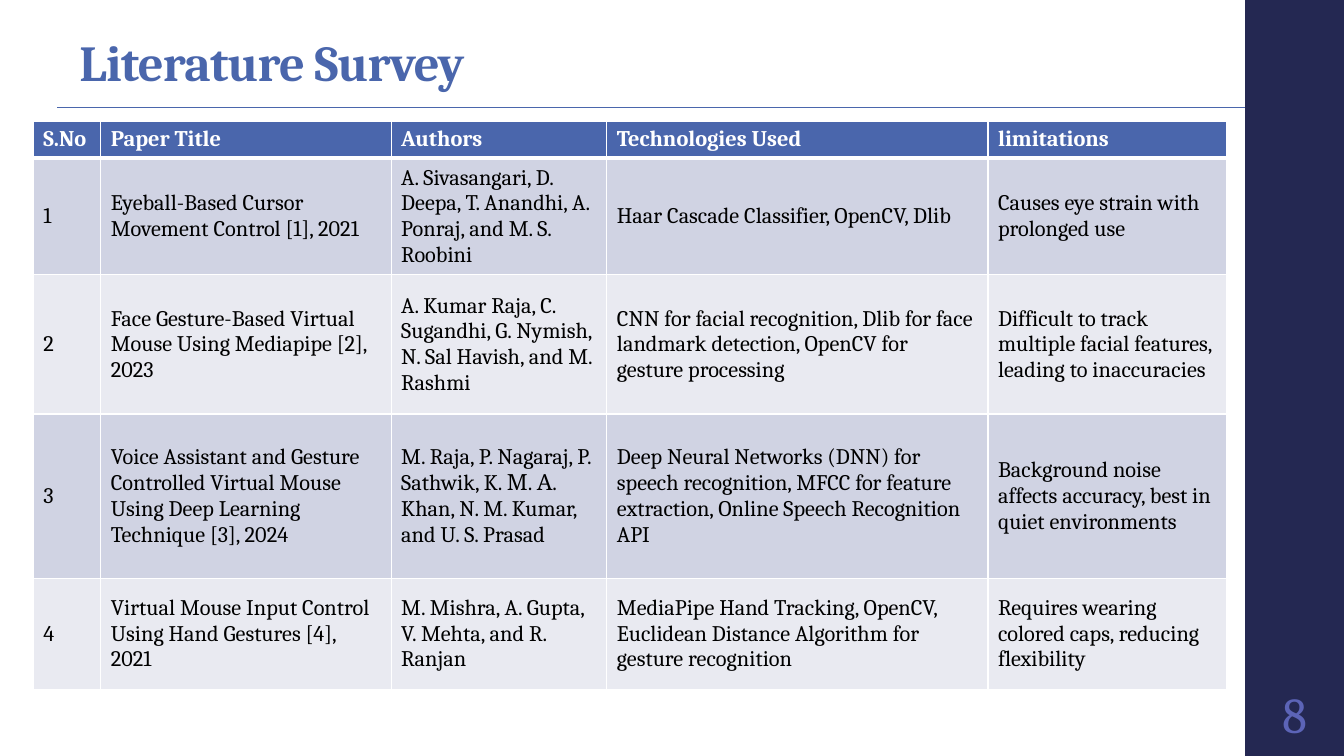
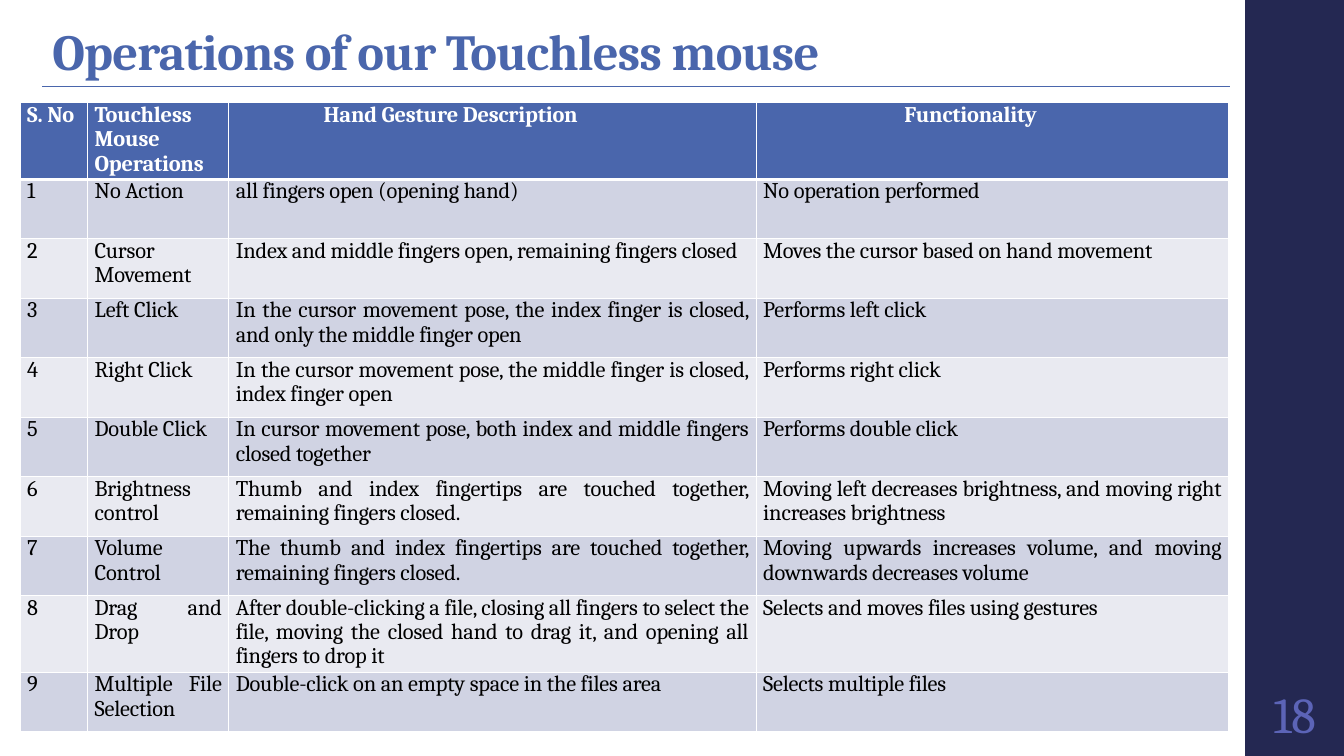
import pptx
import pptx.dml.color
import pptx.enum.shapes
import pptx.enum.text
import pptx.oxml.ns
import pptx.util
import lxml.etree

Inches = pptx.util.Inches
Pt = pptx.util.Pt
ALIGN = pptx.enum.text.PP_ALIGN
ANCHOR = pptx.enum.text.MSO_ANCHOR
qn = pptx.oxml.ns.qn

FONT = "Cambria"
BLUE, NAVY, VIOLET = "4A66AC", "242852", "5C64B7"
WHITE, BLACK = "FFFFFF", "000000"
ROW_FILLS = ("D0D3E3", "E9EAF1")
SLIDE_W, SLIDE_H = 13.33, 7.5
BAND_X = 12.35
BAND_W = SLIDE_W - BAND_X

SURVEY = [
    ["S.No", "Paper Title", "Authors", "Technologies Used", "limitations"],
    ["1", "Eyeball-Based Cursor Movement Control [1], 2021",
     "A. Sivasangari, D. Deepa, T. Anandhi, A. Ponraj, and M. S. Roobini",
     "Haar Cascade Classifier, OpenCV, Dlib",
     "Causes eye strain with prolonged use"],
    ["2", "Face Gesture-Based Virtual Mouse Using Mediapipe [2], 2023",
     "A. Kumar Raja, C. Sugandhi, G. Nymish, N. Sal Havish, and M. Rashmi",
     "CNN for facial recognition, Dlib for face landmark detection, OpenCV for gesture processing",
     "Difficult to track multiple facial features, leading to inaccuracies"],
    ["3", "Voice Assistant and Gesture Controlled Virtual Mouse Using Deep Learning Technique [3], 2024",
     "M. Raja, P. Nagaraj, P. Sathwik, K. Μ. Α. Khan, N. M. Kumar, and U. S. Prasad",
     "Deep Neural Networks (DNN) for speech recognition, MFCC for feature extraction, "
     "Online Speech Recognition API",
     "Background noise affects accuracy, best in quiet environments"],
    ["4", "Virtual Mouse Input Control Using Hand Gestures [4], 2021",
     "M. Mishra, A. Gupta, V. Mehta, and R. Ranjan",
     "MediaPipe Hand Tracking, OpenCV, Euclidean Distance Algorithm for gesture recognition",
     "Requires wearing colored caps, reducing flexibility"],
]

OPERATIONS = [
    ["S. No", "Touchless Mouse Operations", "Hand Gesture Description", "Functionality"],
    ["1", "No Action", "all fingers open (opening hand)", "No operation performed"],
    ["2", "Cursor Movement", "Index and middle fingers open, remaining fingers closed",
     "Moves the cursor based on hand movement"],
    ["3", "Left Click",
     "In the cursor movement pose, the index finger is closed, and only the middle finger open",
     "Performs left click"],
    ["4", "Right Click",
     "In the cursor movement pose, the middle finger is closed, index finger open",
     "Performs right click"],
    ["5", "Double Click",
     "In cursor movement pose, both index and middle fingers closed together",
     "Performs double click"],
    ["6", "Brightness control",
     "Thumb and index fingertips are touched together, remaining fingers closed.",
     "Moving left decreases brightness, and moving right increases brightness"],
    ["7", "Volume Control",
     "The thumb and index fingertips are touched together, remaining fingers closed.",
     "Moving upwards increases volume, and moving downwards decreases volume"],
    ["8", "Drag and Drop",
     "After double-clicking a file, closing all fingers to select the file, "
     "moving the closed hand to drag it, and opening all fingers to drop it",
     "Selects and moves files using gestures"],
    ["9", "Multiple File Selection", "Double-click on an empty space in the files area",
     "Selects multiple files"],
]


def rgb(value):
    return pptx.dml.color.RGBColor.from_string(value)


def write(tf, text, size=16, color=BLACK, bold=False, align=ALIGN.LEFT,
          line=1.0, after=0, spacing=0):
    tf.word_wrap = True
    p = tf.paragraphs[0]
    p.alignment = align
    p.line_spacing = line
    p.space_after = Pt(after)
    r = p.add_run()
    r.text = text
    r.font.name = FONT
    r.font.size = Pt(size)
    r.font.bold = bold
    r.font.color.rgb = rgb(color)
    if spacing:
        r.font._element.set("spc", str(round(spacing * 100)))


def set_margins(box, left, top, right, bottom):
    box.margin_left, box.margin_top = Inches(left), Inches(top)
    box.margin_right, box.margin_bottom = Inches(right), Inches(bottom)


def add_text(s, x, y, w, h, text, anchor, margins, **fmt):
    tf = s.shapes.add_textbox(Inches(x), Inches(y), Inches(w), Inches(h)).text_frame
    tf.vertical_anchor = anchor
    set_margins(tf, *margins)
    write(tf, text, **fmt)


def add_band(s, number):
    sp = s.shapes.add_shape(pptx.enum.shapes.MSO_SHAPE.RECTANGLE,
                            Inches(BAND_X), 0, Inches(BAND_W), Inches(SLIDE_H))
    sp.shadow.inherit = False
    sp.fill.solid()
    sp.fill.fore_color.rgb = rgb(NAVY)
    sp.line.fill.background()
    add_text(s, BAND_X, SLIDE_H - 0.75, BAND_W, 0.65, number, ANCHOR.MIDDLE, [0.05] * 4,
             size=36, color=VIOLET, align=ALIGN.CENTER)


def add_title(s, x, y, w, text):
    add_text(s, x, y, w, 0.86, text, ANCHOR.BOTTOM, (0.1, 0.03, 0.1, 0.05),
             size=36, color=BLUE, bold=True, line=0.9, spacing=-0.5)


def add_rule(s, x1, x2, y):
    cn = s.shapes.add_connector(pptx.enum.shapes.MSO_CONNECTOR.STRAIGHT,
                                Inches(x1), Inches(y), Inches(x2), Inches(y))
    cn.line.color.rgb = rgb(BLUE)
    cn.line.width = Pt(0.75)
    lxml.etree.SubElement(cn._element.spPr, qn("a:effectLst"))


def set_borders(cell, top, bottom):
    tc_pr = cell._tc.get_or_add_tcPr()
    for side, width in (("L", 1), ("R", 1), ("T", top), ("B", bottom)):
        ln = lxml.etree.SubElement(tc_pr, qn("a:ln" + side), w=str(Pt(width)))
        fill = lxml.etree.SubElement(ln, qn("a:solidFill"))
        lxml.etree.SubElement(fill, qn("a:srgbClr"), val=WHITE)


def add_grid(s, x, y, cols, heights, rows, margins, body_anchor, body_size=16,
             header_lefts=None, **fmt):
    table = s.shapes.add_table(len(rows), len(cols), Inches(x), Inches(y),
                               Inches(sum(cols)), Inches(sum(heights))).table
    for column, width in zip(table.columns, cols):
        column.width = Inches(width)
    for i, (row, height, texts) in enumerate(zip(table.rows, heights, rows)):
        row.height = Inches(height)
        header = i == 0
        for j, (cell, text) in enumerate(zip(row.cells, texts)):
            set_borders(cell, 3 if i == 1 else 1, 3 if header else 1)
            cell.fill.solid()
            cell.fill.fore_color.rgb = rgb(BLUE if header else ROW_FILLS[(i - 1) % 2])
            set_margins(cell, *margins)
            if header and header_lefts:
                cell.margin_left = Inches(header_lefts[j])
            cell.vertical_anchor = ANCHOR.TOP if header else body_anchor
            write(cell.text_frame, text, size=16 if header else body_size,
                  color=WHITE if header else BLACK, bold=header, **fmt)


def survey_slide(s):
    add_band(s, "8")
    add_title(s, 0.69, 0.11, 10.6, "Literature Survey")
    add_rule(s, 0.57, BAND_X, 1.07)
    add_grid(s, 0.33, 1.2, [0.67, 2.88, 2.14, 3.78, 2.37], [0.35, 1.12, 1.38, 1.63, 1.1],
             SURVEY, (0.1, 0.05, 0.1, 0.05), ANCHOR.MIDDLE, body_size=15.9)


def operations_slide(s):
    add_band(s, "18")
    add_title(s, 0.42, 0, 11.08, "Operations of our Touchless mouse")
    add_grid(s, 0.2, 1.02, [0.67, 1.4, 5.23, 4.69], [0.72] + [0.59] * 7 + [0.72, 0.59],
             OPERATIONS, (0.07, 0, 0.07, 0), ANCHOR.TOP,
             header_lefts=[0.07, 0.07, 0.94, 1.47],
             align=ALIGN.JUSTIFY, line=0.95, after=6, spacing=-0.1)
    add_rule(s, 0.42, 12.2, 0.86)


def main():
    prs = pptx.Presentation()
    prs.slide_width, prs.slide_height = Inches(SLIDE_W), Inches(SLIDE_H)
    for build in (survey_slide, operations_slide):
        build(prs.slides.add_slide(prs.slide_layouts[6]))
    prs.save("out.pptx")


if __name__ == "__main__":
    main()
